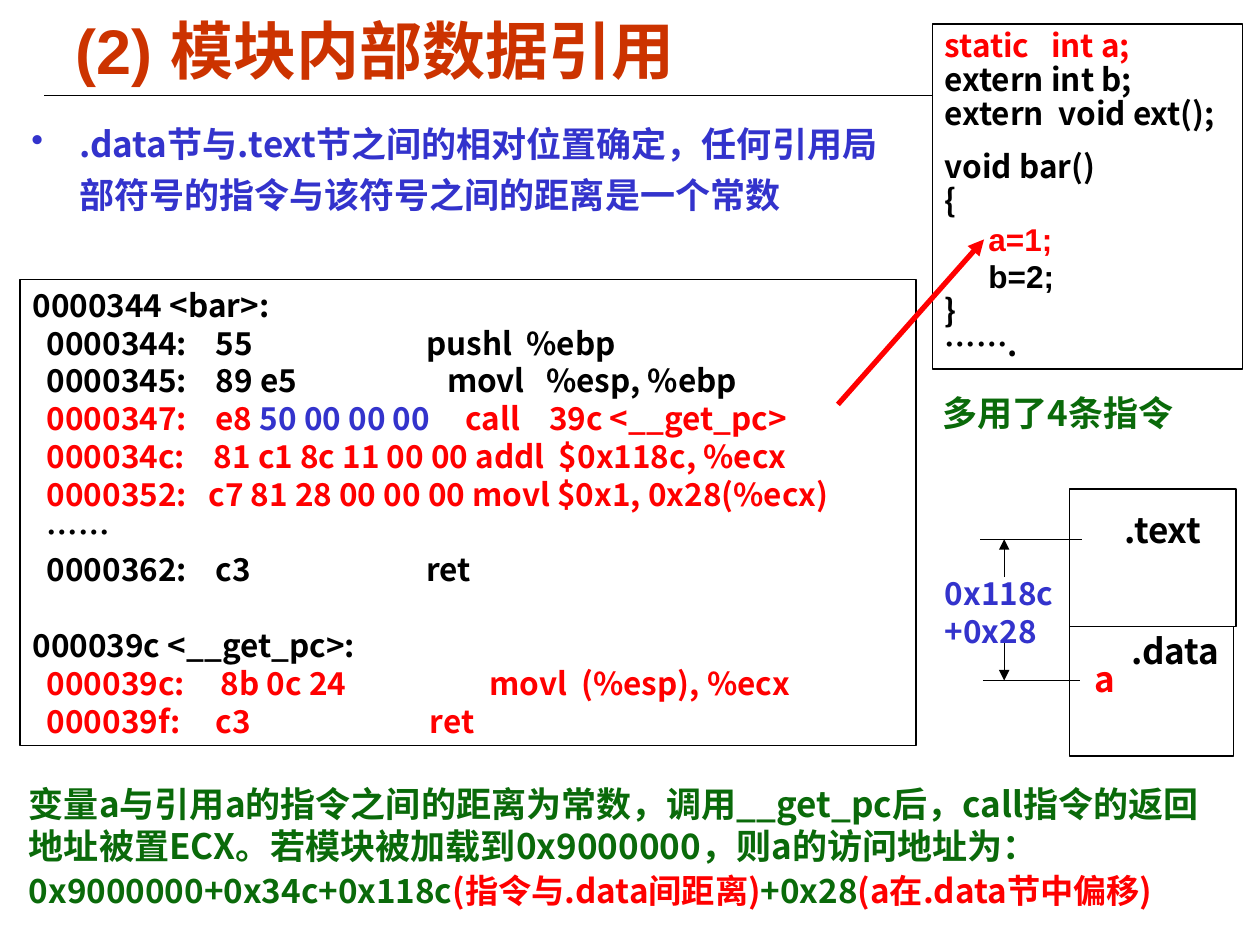
from dataclasses import dataclass

import pptx
import pptx.dml.color
import pptx.enum.shapes
import pptx.enum.text
import pptx.oxml.ns
import pptx.util
from lxml import etree
from pptx.util import Inches

RGBColor = pptx.dml.color.RGBColor
BLACK = RGBColor(0x00, 0x00, 0x00)
WHITE = RGBColor(0xFF, 0xFF, 0xFF)
RED = RGBColor(0xFF, 0x00, 0x00)
BLUE = RGBColor(0x33, 0x33, 0xCC)
GREEN = RGBColor(0x0A, 0x6A, 0x0A)
ORANGE = RGBColor(0xCC, 0x33, 0x00)
SANS = "Noto Sans CJK SC"
ARIAL = "Arial"


@dataclass
class Span:
    text: str
    color: RGBColor = BLACK


@dataclass
class Para:
    spans: list[Span]
    size: float = 18
    font: str = SANS
    spacing: float = 1.0
    before: float = 0


@dataclass
class Label:
    area: tuple[float, float, float, float]
    paras: list[Para]
    side_inset: float = 0.1


@dataclass
class Line:
    start: tuple[float, float]
    end: tuple[float, float]
    color: RGBColor = BLACK
    width: float = 0.75
    arrow: bool = False


def line_of(text: str, color: RGBColor = BLACK, **formats) -> Para:
    return Para([Span(text, color)], **formats)


def add_child(parent, tag: str, **attributes):
    return etree.SubElement(parent, pptx.oxml.ns.qn(tag), **attributes)


def fill_text(frame, paras: list[Para], side_inset: float = 0.1) -> None:
    frame_formats = {
        "word_wrap": True,
        "auto_size": pptx.enum.text.MSO_AUTO_SIZE.NONE,
        "margin_left": Inches(side_inset),
        "margin_right": Inches(side_inset),
        "margin_top": Inches(0.05),
        "margin_bottom": Inches(0.05),
    }
    for name, value in frame_formats.items():
        setattr(frame, name, value)
    for index, para in enumerate(paras):
        paragraph = frame.add_paragraph() if index else frame.paragraphs[0]
        paragraph_formats = {
            "alignment": pptx.enum.text.PP_ALIGN.LEFT,
            "line_spacing": para.spacing,
            "space_before": pptx.util.Pt(para.before),
        }
        for name, value in paragraph_formats.items():
            setattr(paragraph, name, value)
        for span in para.spans:
            run = paragraph.add_run()
            run.text = span.text
            run.font.color.rgb = span.color
            font_formats = {"name": para.font, "size": pptx.util.Pt(para.size), "bold": True}
            for name, value in font_formats.items():
                setattr(run.font, name, value)
            add_child(run.font._element, "a:ea", typeface=SANS)


def add_label(page, label: Label):
    box = page.shapes.add_textbox(*map(Inches, label.area))
    fill_text(box.text_frame, label.paras, label.side_inset)
    return box


def add_panel(page, label: Label, filled: bool = True) -> None:
    """Draw a thin black outlined rectangle with text at its top left."""
    panel = page.shapes.add_shape(
        pptx.enum.shapes.MSO_SHAPE.RECTANGLE, *map(Inches, label.area))
    panel.shadow.inherit = False
    if filled:
        panel.fill.solid()
        panel.fill.fore_color.rgb = WHITE
    else:
        panel.fill.background()
    panel.line.color.rgb = BLACK
    panel.line.width = pptx.util.Pt(0.75)
    panel.text_frame.vertical_anchor = pptx.enum.text.MSO_ANCHOR.TOP
    fill_text(panel.text_frame, label.paras)


def add_line(page, line: Line) -> None:
    connector = page.shapes.add_connector(
        pptx.enum.shapes.MSO_CONNECTOR.STRAIGHT, *map(Inches, line.start + line.end))
    connector.line.color.rgb = line.color
    connector.line.width = pptx.util.Pt(line.width)
    if line.arrow:
        add_child(connector.line._get_or_add_ln(), "a:tailEnd", type="triangle")
    add_child(connector._element.spPr, "a:effectLst")


def add_bullet(paragraph, color: RGBColor) -> None:
    properties = paragraph._p.get_or_add_pPr()
    properties.set("marL", str(Inches(0.38)))
    properties.set("indent", str(-Inches(0.38)))
    add_child(add_child(properties, "a:buClr"), "a:srgbClr", val=str(color))
    add_child(properties, "a:buChar", char="•")


TITLE = line_of("(2) 模块内部数据引用", ORANGE, size=36, font=ARIAL)
INTRO = Label((0.15, 0.86, 7.09, 1.21), [line_of(
    ".data节与.text节之间的相对位置确定，任何引用局部符号的指令与该符号之间的距离是一个常数",
    BLUE, size=20, spacing=1.2)])
SOURCE_CODE = Label((7.4, 0.19, 2.46, 2.74), [
    line_of("static   int a;", RED, spacing=0.9),
    line_of("extern int b;", spacing=0.9),
    line_of("extern  void ext();", spacing=0.9),
    line_of("void bar()", spacing=0.9, before=11),
    line_of("{", spacing=0.9),
    line_of("     a=1;", RED, font=ARIAL),
    line_of("     b=2;", font=ARIAL),
    line_of("}", spacing=0.9),
    line_of("…….", spacing=0.9),
])
ASSEMBLY = Label((0.16, 2.22, 7.11, 3.7), [
    line_of("0000344 <bar>:"),
    line_of("  0000344:    55\t    \t           pushl  %ebp"),
    line_of("  0000345:    89 e5                     movl   %esp, %ebp"),
    Para([Span("  0000347:    e8 ", RED), Span("50 00 00 00 ", BLUE),
          Span("    call    39c <__get_pc>", RED)]),
    line_of("  000034c:    81 c1 8c 11 00 00 addl  $0x118c, %ecx", RED),
    line_of("  0000352:   c7 81 28 00 00 00 movl $0x1, 0x28(%ecx)", RED),
    line_of("  ……"),
    line_of("  0000362:    c3\t\t           ret"),
    line_of("000039c <__get_pc>:", before=21.7),
    line_of("  000039c:     8b 0c 24 \t           movl  (%esp), %ecx", RED),
    line_of("  000039f:     c3                         ret", RED),
])
SUMMARY = Label((0.23, 6.16, 9.51, 1.12), [
    line_of("变量a与引用a的指令之间的距离为常数，调用__get_pc后，call指令的返回地址被置ECX。"
            "若模块被加载到0x9000000，则a的访问地址为：", GREEN, size=20),
    Para([Span("0x9000000+0x34c+0x118c", GREEN), Span("(指令与.data间距离)", RED),
          Span("+0x28", GREEN), Span("(a在.data节中偏移)", RED)], size=19, before=2.4),
], side_inset=0)
SECTIONS = [Label((8.49, 3.88, 1.32, 1.09), []), Label((8.49, 4.97, 1.3, 1.03), [])]
SECTION_LABELS = [
    Label((8.83, 3.99, 0.91, 0.44), [line_of(".text", size=20)]),
    Label((8.88, 4.95, 0.91, 0.77), [line_of(".data", size=20)]),
    Label((8.59, 5.17, 0.59, 0.44), [line_of("a", RED, size=20)]),
    Label((7.4, 4.51, 1.21, 0.7), [line_of("0x118c", BLUE), line_of("+0x28", BLUE)]),
    Label((7.38, 3.06, 2.09, 0.77), [line_of("多用了4条指令", GREEN, size=20)]),
]
TITLE_RULE = Line((0.35, 0.76), (9.65, 0.76))
LINES = [
    Line((7.78, 4.28), (8.59, 4.28)),
    Line((7.8, 5.4), (8.57, 5.4)),
    Line((7.97, 4.58), (7.97, 4.28), arrow=True),
    Line((7.97, 5.06), (7.97, 5.4), arrow=True),
    Line((6.65, 3.21), (7.81, 1.9), RED, 3, arrow=True),
]


def main() -> None:
    deck = pptx.Presentation()
    deck.slide_width, deck.slide_height = Inches(10), Inches(7.5)
    page = deck.slides.add_slide(deck.slide_layouts[5])
    title = page.shapes.title
    for name, value in zip(("left", "top", "width", "height"), (0.5, 0.09, 9, 0.61)):
        setattr(title, name, Inches(value))
    title.text_frame.vertical_anchor = pptx.enum.text.MSO_ANCHOR.MIDDLE
    fill_text(title.text_frame, [TITLE])

    add_line(page, TITLE_RULE)
    intro = add_label(page, INTRO)
    add_bullet(intro.text_frame.paragraphs[0], BLUE)
    add_panel(page, SOURCE_CODE)
    add_panel(page, ASSEMBLY, filled=False)
    add_label(page, SUMMARY)
    for section in SECTIONS:
        add_panel(page, section)
    for line in LINES:
        add_line(page, line)
    for label in SECTION_LABELS:
        add_label(page, label)
    deck.save("out.pptx")


if __name__ == "__main__":
    main()
